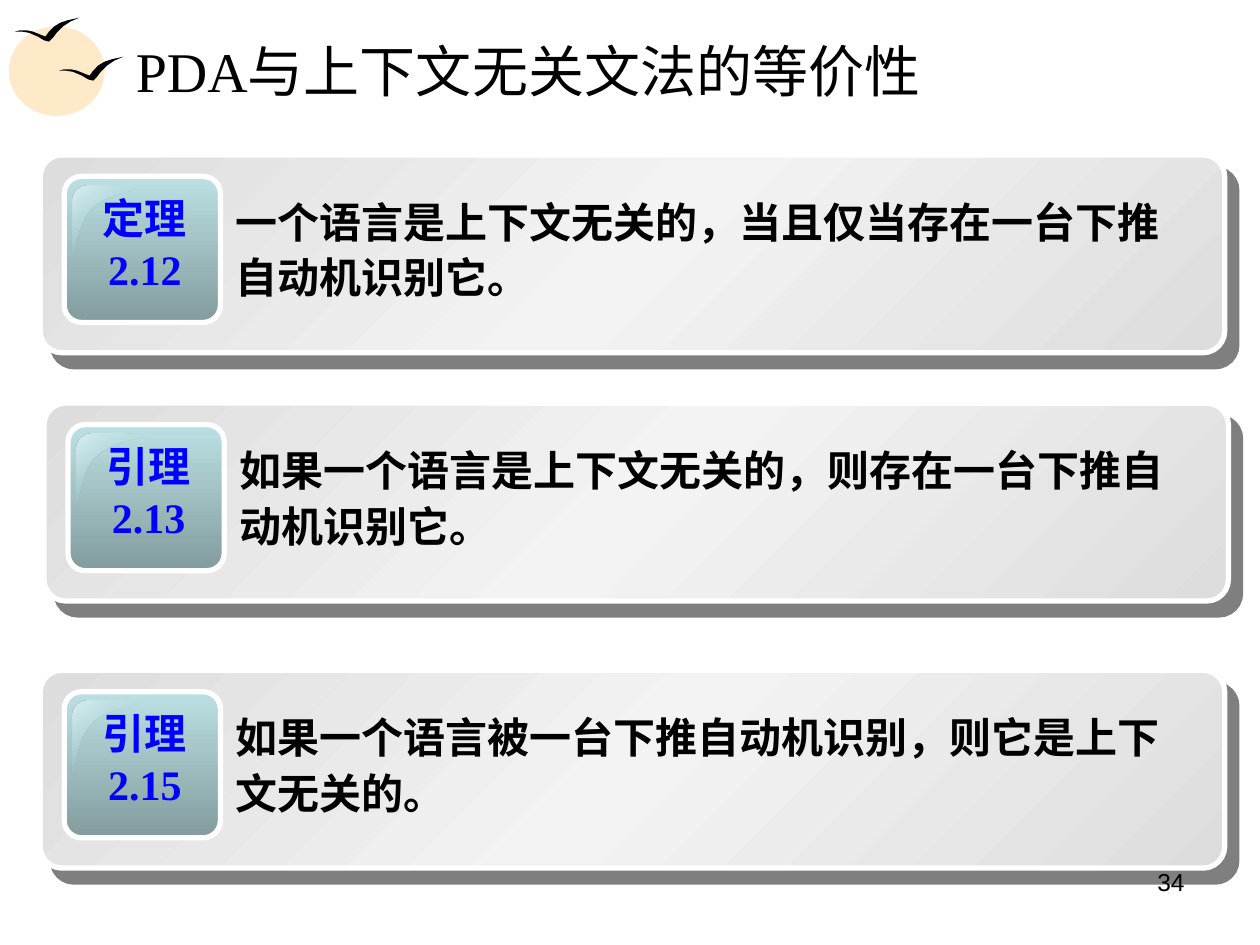
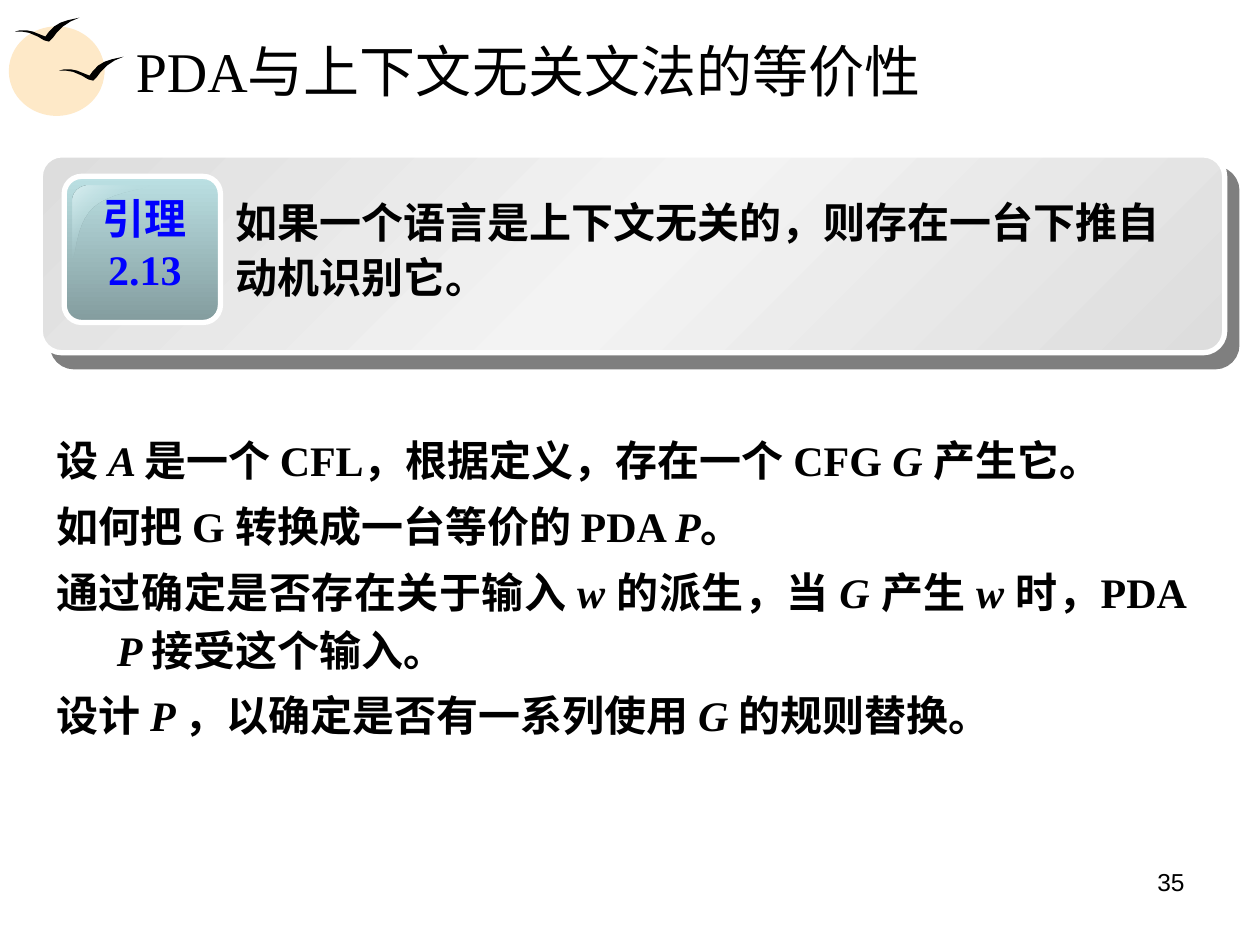
from dataclasses import dataclass

from lxml import etree
from pptx import Presentation
from pptx import util as u
from pptx.dml.color import RGBColor
from pptx.enum import shapes, text
from pptx.oxml.ns import qn


@dataclass(frozen=True)
class Theme:
    ink: str = "000000"
    white: str = "FFFFFF"
    sun: str = "FEE9C8"
    label: str = "0000FF"
    card: tuple = ((0, "DDDDDD", 100), (50, "F3F3F3", 100), (100, "DDDDDD", 100))
    badge: tuple = ((0, "BBE0E3", 100), (100, "839C9E", 100))
    sheen: tuple = ((0, "DAEEF0", 100), (50, "BBE0E3", 0), (100, "DAEEF0", 100))
    serif: str = "Times New Roman"
    sans: str = "Arial"
    title_size: int = 32
    text_size: int = 24
    number_size: int = 14


THEME = Theme()
FIRST_PAGE = 34
TITLE = "PDA与上下文无关文法的等价性"
LEMMA = "如果一个语言是上下文无关的，则存在一台下推自动机识别它。"
CARDS = [
    (0.32, 1.23, "定理", "2.12", "一个语言是上下文无关的，当且仅当存在一台下推自动机识别它。"),
    (0.35, 3.2, "引理", "2.13", LEMMA),
    (0.32, 5.32, "引理", "2.15", "如果一个语言被一台下推自动机识别，则它是上下文无关的。"),
]
PROOF = [
    ["设 ", "A ", "是一个 CFL，根据定义，存在一个 CFG ", "G ", "产生它。"],
    ["如何把 G 转换成一台等价的 PDA ", "P", "。"],
    ["通过确定是否存在关于输入 ", "w ", "的派生，当 ", "G ", "产生 ", "w ",
     "时，PDA ", "P ", "接受这个输入。"],
    ["设计 ", "P ", "，以确定是否有一系列使用 ", "G ", "的规则替换。"],
]
BIRD = [
    (0, 0.11), (0.04, 0.1), (0.09, 0.1), (0.14, 0.11), (0.19, 0.13), (0.24, 0.15),
    (0.27, 0.11), (0.31, 0.07), (0.36, 0.04), (0.42, 0.02), (0.51, 0),
    (0.44, 0.03), (0.38, 0.07), (0.33, 0.12), (0.3, 0.16), (0.27, 0.19),
    (0.23, 0.18), (0.18, 0.15), (0.11, 0.12), (0.05, 0.11),
]
SHEEN_CURVES = [
    ((0.13, 0), (0.06, 0), (0, 0.05), (0, 0.12)),
    ((0, 0.58), (0.03, 0.58), (0.02, 0.3), (0.17, 0.17)),
    ((0.17, 0.17), (0.32, 0.04), (0.62, 0.03), (0.61, 0)),
]


def apply(target, formats):
    for name, value in formats.items():
        setattr(target, name, value)


def add_colour(parent, colour, alpha):
    node = etree.SubElement(parent, qn("a:srgbClr"), val=colour)
    if alpha < 100:
        etree.SubElement(node, qn("a:alpha"), val=str(alpha * 1000))


def paint_solid(shape, colour):
    shape.shadow.inherit = False
    shape.fill.solid()
    shape.fill.fore_color.rgb = RGBColor.from_string(colour)
    shape.line.fill.background()


def paint_gradient(shape, stops, angle):
    shape.shadow.inherit = False
    shape.fill.gradient()
    shape.fill.gradient_angle = 360 - angle
    stop_list = next(shape._element.iter(qn("a:gsLst")))
    stop_list.clear()
    for position, colour, alpha in stops:
        stop = etree.SubElement(stop_list, qn("a:gs"), pos=str(position * 1000))
        add_colour(stop, colour, alpha)
    shape.line.fill.background()


def cast_shadow(shape):
    effects = shape._element.spPr.find(qn("a:effectLst"))
    shadow = etree.SubElement(
        effects, qn("a:outerShdw"), blurRad="0", dist=str(u.Pt(10.6)),
        dir=str(49 * 60000), algn="ctr", rotWithShape="0")
    add_colour(shadow, THEME.ink, 50)


def add_preset(parent, kind, left, top, width, height):
    return parent.add_shape(kind, *map(u.Inches, (left, top, width, height)))


def add_rounded(parent, area, corner, stops, angle):
    shape = add_preset(parent, shapes.MSO_SHAPE.ROUNDED_RECTANGLE, *area)
    shape.adjustments[0] = corner
    paint_gradient(shape, stops, angle)
    shape.line.color.rgb = RGBColor.from_string(THEME.white)
    shape.line.width = u.Pt(3)
    return shape


def add_outline(parent, left, top, points):
    corners = [(u.Inches(left + x), u.Inches(top + y)) for x, y in points]
    builder = parent.build_freeform(*corners[0])
    builder.add_line_segments(corners[1:], close=True)
    return builder.convert_to_shape()


def curve_points(start, first, second, end, steps=10):
    for step in range(steps + 1):
        t = step / steps
        weights = ((1 - t) ** 3, 3 * t * (1 - t) ** 2, 3 * t * t * (1 - t), t ** 3)
        yield tuple(sum(w * point[axis] for w, point in zip(weights, (start, first, second, end)))
                    for axis in (0, 1))


def add_text(parent, area, lines, size=THEME.text_size, name=THEME.serif,
             colour=THEME.ink, bold=True, anchor=text.MSO_ANCHOR.TOP,
             gap=0, indent=0, **paragraph_formats):
    box = parent.add_textbox(*map(u.Inches, area))
    frame = box.text_frame
    apply(frame, {"word_wrap": True, "vertical_anchor": anchor})
    for index, spans in enumerate(lines):
        para = frame.add_paragraph() if index else frame.paragraphs[0]
        apply(para, paragraph_formats)
        if index and gap:
            para.space_before = u.Pt(gap)
        if indent:
            properties = para._p.get_or_add_pPr()
            properties.set("marL", str(u.Inches(indent)))
            properties.set("indent", str(-u.Inches(indent)))
        for order, words in enumerate(spans):
            span = para.add_run()
            span.text = words
            apply(span.font, {"size": u.Pt(size), "name": name, "bold": bold,
                              "italic": order % 2 == 1})
            span.font.color.rgb = RGBColor.from_string(colour)


def add_card(page, left, top, kind, number, statement, name=THEME.serif):
    card = page.shapes.add_group_shape().shapes
    panel = add_rounded(card, (left, top, 9.4, 1.57), 0.109, THEME.card, 45)
    cast_shadow(panel)
    add_rounded(card, (left + 0.19, top + 0.17, 1.24, 1.16), 0.119, THEME.badge, 90)
    points = [point for curve in SHEEN_CURVES for point in curve_points(*curve)]
    sheen = add_outline(card, left + 0.26, top + 0.24, points)
    paint_gradient(sheen, THEME.sheen, 45)
    add_text(card, (left + 0.36, top + 0.25, 0.94, 0.9), [[kind], [number]],
             colour=THEME.label, alignment=text.PP_ALIGN.CENTER)
    add_text(card, (left + 1.45, top + 0.24, 7.56, 0.94), [[statement]],
             name=name, line_spacing=1.1)


def add_page(deck, number):
    page = deck.slides.add_slide(deck.slide_layouts[6])
    for area in ((0.07, 0.21, 0.76, 0.71), (0.2, 0.28, 0.63, 0.55)):
        paint_solid(add_preset(page.shapes, shapes.MSO_SHAPE.OVAL, *area), THEME.sun)
    for left, top in ((0.47, 0.45), (0.12, 0.14)):
        paint_solid(add_outline(page.shapes, left, top, BIRD), THEME.ink)
    add_text(page.shapes, (7.17, 6.83, 2.33, 0.52), [[str(number)]],
             size=THEME.number_size, name=THEME.sans, bold=False,
             alignment=text.PP_ALIGN.RIGHT)
    add_text(page.shapes, (0.98, 0.21, 8.53, 0.69), [[TITLE]],
             size=THEME.title_size, bold=False, anchor=text.MSO_ANCHOR.MIDDLE)
    return page


def main():
    deck = Presentation()
    apply(deck, {"slide_width": u.Inches(10), "slide_height": u.Inches(7.5)})

    overview = add_page(deck, FIRST_PAGE)
    for card in CARDS:
        add_card(overview, *card)

    proof = add_page(deck, FIRST_PAGE + 1)
    add_card(proof, 0.32, 1.23, "引理", "2.13", LEMMA, name=THEME.sans)
    add_text(proof.shapes, (0.35, 3.34, 9.15, 3.4), PROOF, gap=4.5, indent=0.48,
             line_spacing=1.15, alignment=text.PP_ALIGN.JUSTIFY)

    deck.save("out.pptx")


if __name__ == "__main__":
    main()
